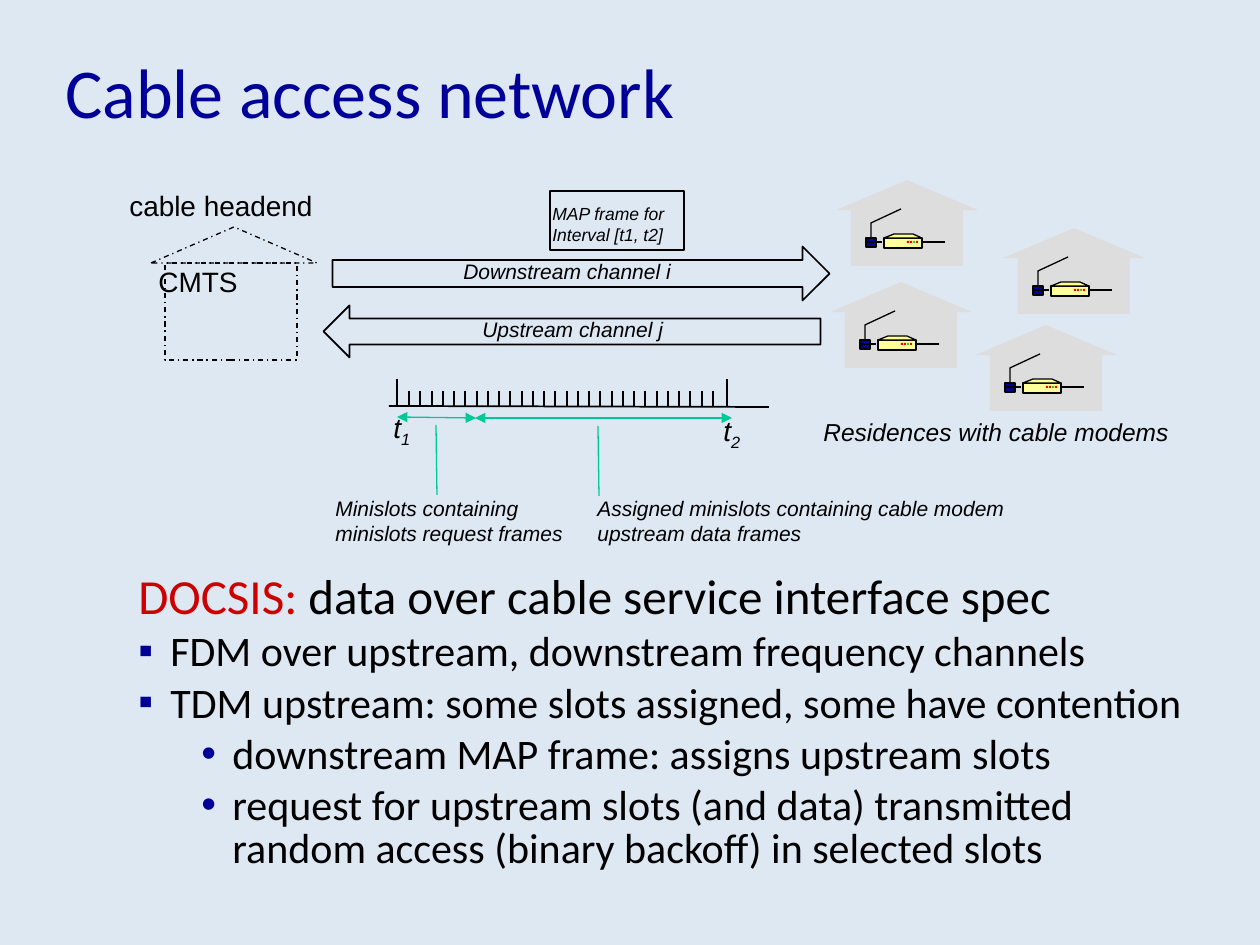
from lxml import etree
from pptx import Presentation
from pptx.dml.color import RGBColor
from pptx.enum import dml, shapes, text
from pptx.oxml.ns import qn
from pptx.util import Pt
from pptx import util as u

SCALE = 914400 / 126  # EMU per px
BLACK, NAVY, RED, TEAL = "000000", "000099", "CC0000", "00C896"
GREY, YELLOW = "DDDDDD", "FFFF99"
SHAPE = shapes.MSO_SHAPE


def px(length):
    return u.Emu(round(length * SCALE))


def color(code):
    return RGBColor.from_string(code)


def child(parent, tag, **attributes):
    return etree.SubElement(parent, qn(tag), attributes)


class Sketch:
    """Holds the text style and the slide being drawn."""

    style = {"name": "Arial", "size": Pt(12), "italic": True}

    def __init__(self, page, background):
        self.page = page
        page.background.fill.solid()
        page.background.fill.fore_color.rgb = color(background)

    def paint(self, shape, fill, line, width, dash=None):
        shape.shadow.inherit = False
        if fill:
            shape.fill.solid()
            shape.fill.fore_color.rgb = color(fill)
        else:
            shape.fill.background()
        if line:
            shape.line.color.rgb = color(line)
            shape.line.width = Pt(width)
            shape.line.dash_style = dash
        else:
            shape.line.fill.background()

    def shape(self, kind, box, fill=None, line=None, width=0.75, dash=None, turn=0):
        shape = self.page.shapes.add_shape(kind, *map(px, box))
        shape.rotation = turn
        self.paint(shape, fill, line, width, dash)

    def outline(self, points, fill=None, close=False):
        builder = self.page.shapes.build_freeform(*points[0], scale=SCALE)
        builder.add_line_segments(points[1:], close=close)
        self.paint(builder.convert_to_shape(), fill, BLACK, 0.75)

    def line(self, start, end, stroke=BLACK, width=0.75, arrows=False):
        line = self.page.shapes.add_connector(
            shapes.MSO_CONNECTOR.STRAIGHT, *map(px, start + end))
        line.line.color.rgb = color(stroke)
        line.line.width = Pt(width)
        if arrows:
            stroke_xml = line.line._get_or_add_ln()
            for tag in ("a:headEnd", "a:tailEnd"):
                child(stroke_xml, tag, type="triangle")
        child(line._element.spPr, "a:effectLst")

    def box(self, area, wrap=False, fit=True, middle=False):
        frame = self.page.shapes.add_textbox(*map(px, area)).text_frame
        frame.word_wrap = wrap
        frame.auto_size = (text.MSO_AUTO_SIZE.SHAPE_TO_FIT_TEXT if fit
                           else text.MSO_AUTO_SIZE.NONE)
        if middle:
            frame.vertical_anchor = text.MSO_ANCHOR.MIDDLE
        return frame

    def span(self, para, words, ink=BLACK, **changes):
        span = para.add_run()
        span.text = words
        for name, value in {**self.style, **changes}.items():
            setattr(span.font, name, value)
        span.font.color.rgb = color(ink)
        return span

    def label(self, area, lines, wrap=False, layout=None, **changes):
        frame = self.box(area, wrap)
        for index, words in enumerate(lines):
            para = frame.add_paragraph() if index else frame.paragraphs[0]
            for name, value in (layout or {}).items():
                setattr(para, name, value)
            self.span(para, words, **changes)
        return frame

    def bullet(self, para, mark, margin, indent):
        props = para._p.get_or_add_pPr()
        props.set("marL", str(px(margin)))
        props.set("indent", str(px(-indent)))
        child(child(props, "a:buClr"), "a:srgbClr", val=NAVY)
        child(props, "a:buFont", typeface="Arial")
        child(props, "a:buChar", char=mark)

    def house(self, left, top):
        def at(x, y):
            return left + x, top + y

        # Walls and roof
        self.shape(SHAPE.ISOSCELES_TRIANGLE, (*at(0, 0), 142, 30), GREY)
        self.shape(SHAPE.RECTANGLE, (*at(15, 27), 112, 59), GREY)
        # Modem with its lights
        self.line(at(109, 62), at(86, 62))
        self.shape(SHAPE.RECTANGLE, (*at(48, 58), 38, 10), YELLOW, BLACK)
        for index, light in enumerate(("FF0000", "FF0000", "33CC33", "FF0000")):
            self.shape(SHAPE.RECTANGLE, (*at(71 + 3 * index, 61), 2, 2), light)
        lid = [at(86, 58), at(77, 54), at(58, 54), at(48, 58)]
        self.outline(lid, YELLOW, close=True)
        # Wall outlet and cable
        self.shape(SHAPE.RECTANGLE, (*at(30, 58), 10, 9), NAVY, BLACK)
        self.outline([at(35, 57), at(35, 43), at(65, 29)])
        self.line(at(31, 62), at(46, 62))


def draw_points(sketch):
    plain = {"name": "Calibri", "italic": False}
    frame = sketch.box((126, 568, 1080, 315), wrap=True, fit=False)
    heading = frame.paragraphs[0]
    heading.line_spacing = 0.85
    sketch.span(heading, "DOCSIS: ", RED, size=Pt(28), **plain)
    sketch.span(heading, "data over cable service interface spec", size=Pt(28), **plain)
    points = [
        (0, "FDM over upstream, downstream frequency channels"),
        (0, "TDM upstream: some slots assigned, some have contention"),
        (1, "downstream MAP frame: assigns upstream slots"),
        (1, "request for upstream slots (and data) transmitted "
            "random access (binary backoff) in selected slots"),
    ]
    for level, words in points:
        para = frame.add_paragraph()
        sketch.bullet(para, *(("▪", 32, 32), ("•", 94, 31))[level])
        layout = {"level": level, "line_spacing": 0.85, "space_before": Pt(4.8)}
        for name, value in layout.items():
            setattr(para, name, value)
        sketch.span(para, words, size=Pt(24), **plain)


def draw_channels(sketch):
    sketch.shape(SHAPE.RECTANGLE, (550, 191, 134, 59), line=BLACK, width=1)
    sketch.label((540, 197, 142, 55), ["MAP frame for", "Interval [t1, t2]"],
                 layout={"line_spacing": Pt(12)}, size=Pt(10))
    sketch.label((811, 411, 379, 43), ["Residences with cable modems"], size=Pt(14))
    sketch.shape(SHAPE.DOWN_ARROW, (554, 25, 54, 497), line=BLACK, width=1, turn=270)
    sketch.shape(SHAPE.DOWN_ARROW, (546, 83, 52, 497), line=BLACK, width=1, turn=90)
    sketch.label((451, 252, 241, 38), ["Downstream channel i"])
    sketch.label((470, 310, 213, 38), ["Upstream channel j"])


def draw_timeline(sketch):
    # Axis, end marks and minislot ticks
    sketch.line((389, 406), (769, 407), width=1)
    for x in (397, 727):
        sketch.line((x, 379), (x, 406), width=1)
    ticks = 28
    for index in range(ticks):
        x = round(409 + index * (713 - 409) / (ticks - 1))
        sketch.line((x, 391), (x, 406), width=1)
    for x, y, digit in ((381, 404, "1"), (711, 407, "2")):
        frame = sketch.label((x, y, 49, 47), ["t"], size=Pt(16))
        index = sketch.span(frame.paragraphs[0], digit, size=Pt(16))
        index._r.get_or_add_rPr().set("baseline", "-25000")
    # Spans and their captions
    sketch.line((397, 417), (476, 418), TEAL, arrows=True)
    sketch.line((475, 418), (732, 418), TEAL, arrows=True)
    sketch.line((436, 425), (437, 495), TEAL)
    sketch.line((598, 426), (599, 496), TEAL)
    sketch.label((585, 489, 442, 63),
                 ["Assigned minislots containing cable modem", "upstream data frames"])
    sketch.label((323, 489, 261, 63),
                 ["Minislots containing", "minislots request frames"])


def draw_headend(sketch):
    dashed = {"line": BLACK, "dash": dml.MSO_LINE.DASH_DOT}
    upright = {"wrap": True, "size": Pt(16), "italic": False}
    sketch.shape(SHAPE.RECTANGLE, (165, 263, 132, 97), **dashed)
    sketch.label((88, 189, 266, 39), ["cable headend"], **upright,
                 layout={"alignment": text.PP_ALIGN.CENTER, "line_spacing": 0.8})
    sketch.label((146, 258, 131, 47), ["CMTS"], **upright)
    sketch.shape(SHAPE.ISOSCELES_TRIANGLE, (151, 227, 166, 36), **dashed)


def main():
    deck = Presentation()
    deck.slide_width, deck.slide_height = px(1260), px(945)
    sketch = Sketch(deck.slides.add_slide(deck.slide_layouts[6]), "DEE8F3")
    draw_points(sketch)
    draw_channels(sketch)
    draw_timeline(sketch)
    draw_headend(sketch)
    for corner in ((836, 180), (1003, 228), (975, 325), (830, 282)):
        sketch.house(*corner)
    # Title
    title = sketch.box((53, 33, 775, 115), wrap=True, fit=False, middle=True)
    sketch.span(title.paragraphs[0], "Cable access network", NAVY,
                name="Calibri", size=Pt(40), italic=False)
    deck.save("out.pptx")


if __name__ == "__main__":
    main()
